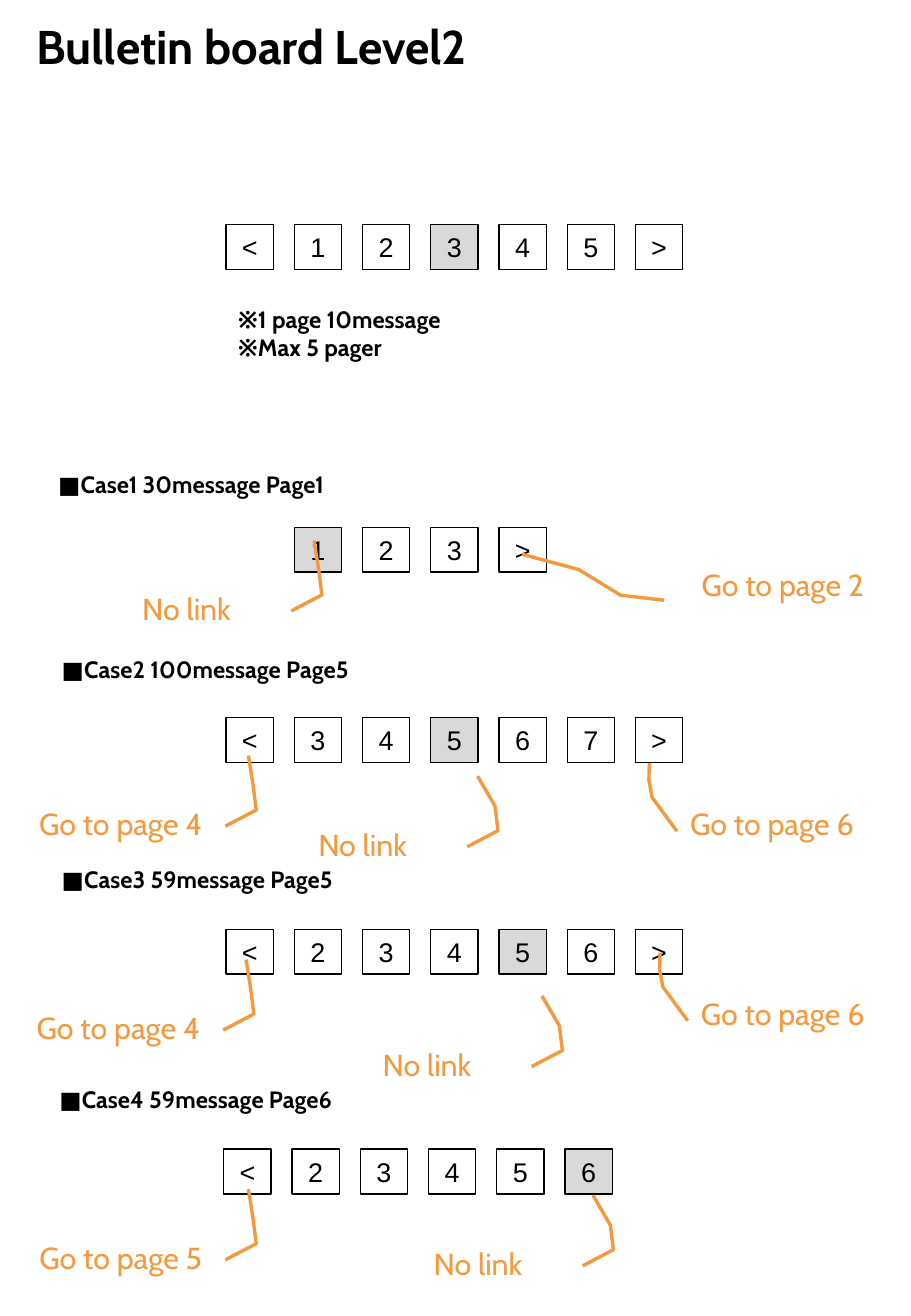
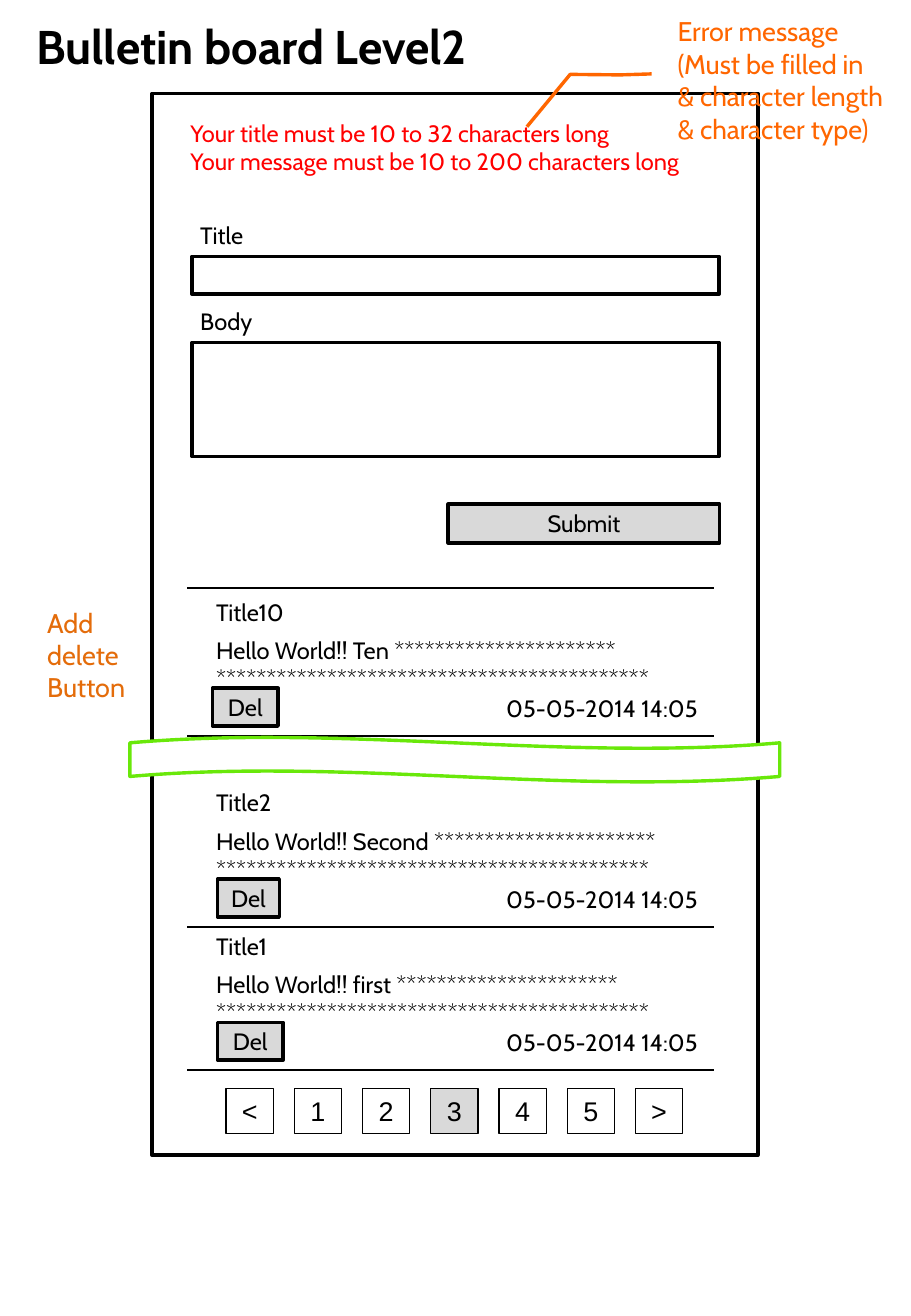
"""Build two portrait wireframe slides for a bulletin board: pager rules and the message form."""
import dataclasses
import typing

import lxml.etree
import pptx
import pptx.dml.color
import pptx.enum.shapes
import pptx.enum.text
import pptx.oxml.ns
import pptx.util

Pt = pptx.util.Pt
SHAPE = pptx.enum.shapes.MSO_SHAPE
ALIGN = pptx.enum.text.PP_ALIGN
ANCHOR = pptx.enum.text.MSO_ANCHOR
AUTO = pptx.enum.text.MSO_AUTO_SIZE

COLORS = {
    "ink": "000000",
    "paper": "FFFFFF",
    "gray": "D9D9D9",
    "note": "F4993E",
    "alert": "FF0000",
    "error_note": "FF6600",
    "side_note": "E46C0A",
    "wave": "69E80A",
}


class Box(typing.NamedTuple):
    x: float
    y: float
    w: float
    h: float


@dataclasses.dataclass(frozen=True)
class Style:
    size: float = 14
    color: str = "ink"
    font: str = "Cabin"
    bold: bool = False
    align: ALIGN = ALIGN.LEFT
    middle: bool = False
    grow: bool = True
    gap: float = 0


@dataclasses.dataclass(frozen=True)
class Callout:
    text: str
    x: float
    y: float
    bends: tuple[float, ...]
    fill: str | None = None


@dataclasses.dataclass(frozen=True)
class Pager:
    labels: str
    current: str
    x: float
    y: float


@dataclasses.dataclass(frozen=True)
class Case:
    heading: str
    x: float
    y: float
    pager: Pager
    callouts: tuple[Callout, ...]


@dataclasses.dataclass(frozen=True)
class Message:
    title: str
    word: str
    rule_y: float
    del_x: float
    del_w: float


BODY = Style()
STRONG = Style(bold=True)
HEADLINE = Style(size=28, bold=True, middle=True, grow=False)
BUTTON = Style(align=ALIGN.CENTER, middle=True, grow=False)
PAGE = Style(size=16, font="Arial", align=ALIGN.CENTER)
NOTE = Style(size=18, color="note", align=ALIGN.CENTER, middle=True, grow=False)
ERROR_NOTE = Style(size=16, color="error_note", middle=True, grow=False)

PAGER_X, PAGER_STEP = 134, 40.45
LEFT = (0.535, 0.966, 0.307, 1.103, -0.044, 1.089, -0.466, 1.068)
LEFT_LOW = LEFT[:-1] + (1.012,)
RIGHT = (0.607, 0.077, 0.128, -0.034, -0.116, -0.048, -0.358, -0.046)
RIGHT_FLAT = (0.727, -0.028, 0.655, -0.222, 0.292, -0.408, 0.074, -0.661)
ERROR_BENDS = (0.465, -0.052, 0.471, -0.167, 0.468, -0.351, 0.787, -0.51)

CASES = (
    Case("■Case1 30message Page1", 27.4, 275,
         Pager("123>", "1", PAGER_X + PAGER_STEP, 312.5), (
             Callout("Go to page 2", 397.4, 325.4, RIGHT_FLAT, "paper"),
             Callout("No link", 43.9, 339.8, LEFT))),
    Case("■Case2 100message Page5", 29.5, 384.5,
         Pager("<34567>", "5", PAGER_X, 425.5), (
             Callout("Go to page 6", 391, 467.3, RIGHT, "paper"),
             Callout("Go to page 4", 5, 467.3, LEFT, "paper"),
             Callout("No link", 148.3, 479.5, LEFT_LOW))),
    Case("■Case3 59message Page5", 29.5, 509,
         Pager("<23456>", "5", PAGER_X, 550.8), (
             Callout("Go to page 6", 397.4, 579.6, RIGHT, "paper"),
             Callout("Go to page 4", 3.6, 588.2, LEFT, "paper"),
             Callout("No link", 186.5, 609.8, LEFT_LOW))),
    Case("■Case4 59message Page6", 28.1, 639.4,
         Pager("<23456", "6", 132.7, 681.1), (
             Callout("Go to page 5", 5, 724.3, LEFT, "paper"),
             Callout("No link", 216.7, 727.9, LEFT_LOW))),
)

MESSAGES = (
    Message("Title10", "Ten", 436.3, 126, 38.9),
    Message("Title2", "Second", 549.4, 128.9, 36.7),
    Message("Title1", "first", 634.3, 128.9, 38.9),
)


def rgb(name: str) -> pptx.dml.color.RGBColor:
    return pptx.dml.color.RGBColor.from_string(COLORS[name])


def write(sp, lines: typing.Sequence[str], style: Style) -> None:
    tf = sp.text_frame
    tf.word_wrap = True
    tf.auto_size = AUTO.SHAPE_TO_FIT_TEXT if style.grow else AUTO.NONE
    tf.vertical_anchor = ANCHOR.MIDDLE if style.middle else ANCHOR.TOP
    for i, line in enumerate(lines):
        p = tf.add_paragraph() if i else tf.paragraphs[0]
        p.alignment = style.align
        p.space_before = Pt(style.gap if i else 0)
        for j, part in enumerate(line.split("\n")):
            if j:
                p.add_line_break()
            r = p.add_run()
            r.text = part
            r.font.size = Pt(style.size)
            r.font.name = style.font
            r.font.bold = style.bold
            r.font.color.rgb = rgb(style.color)


def add_text(s, box: Box, lines: typing.Sequence[str], style: Style = BODY) -> None:
    write(s.shapes.add_textbox(*map(Pt, box)), lines, style)


def add_box(s, box: Box, fill: str | None = None, line: str = "ink", width: float = 2,
            kind: SHAPE = SHAPE.RECTANGLE):
    sp = s.shapes.add_shape(kind, *map(Pt, box))
    sp.shadow.inherit = False
    if fill:
        sp.fill.solid()
        sp.fill.fore_color.rgb = rgb(fill)
    else:
        sp.fill.background()
    sp.line.color.rgb = rgb(line)
    sp.line.width = Pt(width)
    return sp


def add_callout(s, box: Box, bends: tuple[float, ...], lines: typing.Sequence[str],
                style: Style, fill: str | None = None) -> None:
    sp = add_box(s, box, fill, style.color, kind=SHAPE.LINE_CALLOUT_3_NO_BORDER)
    for i, bend in enumerate(bends):
        sp.adjustments[i] = bend
    write(sp, lines, style)


def add_rule(s, y: float) -> None:
    c = s.shapes.add_connector(pptx.enum.shapes.MSO_CONNECTOR.STRAIGHT,
                               Pt(111), Pt(y), Pt(423.4), Pt(y))
    c.line.color.rgb = rgb("ink")
    c.line.width = Pt(1)
    lxml.etree.SubElement(c._element.spPr, pptx.oxml.ns.qn("a:effectLst"))


def add_pager(s, pager: Pager) -> None:
    for i, label in enumerate(pager.labels):
        fill = "gray" if label == pager.current else None
        box = Box(pager.x + i * PAGER_STEP, pager.y, 28, 26.6)
        write(add_box(s, box, fill, width=0.75), [label], PAGE)


def add_case(s, case: Case) -> None:
    add_text(s, Box(case.x, case.y, 481, 24.5), [case.heading], STRONG)
    add_pager(s, case.pager)
    for c in case.callouts:
        add_callout(s, Box(c.x, c.y, 133.2, 41.8), c.bends, [c.text], NOTE, c.fill)


def add_button(s, box: Box, label: str) -> None:
    write(add_box(s, box, "gray"), [label], BUTTON)


def add_message(s, m: Message) -> None:
    add_rule(s, m.rule_y)
    body = f"Hello World!! {m.word} {'*' * 22}\n{'*' * 43}"
    add_text(s, Box(121, m.rule_y - 85.7, 301, 64), [m.title, body], Style(gap=6))
    add_text(s, Box(293, m.rule_y - 28.4, 130, 24.5), ["05-05-2014 14:05"])
    add_button(s, Box(m.del_x, m.rule_y - 28.4, m.del_w, 22.5), "Del")


def add_slide(prs):
    s = prs.slides.add_slide(prs.slide_layouts[6])
    add_text(s, Box(14.4, -1.4, 438.5, 56.9), ["Bulletin board Level2"], HEADLINE)
    return s


def build_pager_slide(prs) -> None:
    s = add_slide(prs)
    add_pager(s, Pager("<12345>", "3", PAGER_X, 133.2))
    add_text(s, Box(134, 177.1, 216, 41), ["※1 page 10message", "※Max 5 pager"], STRONG)
    for case in CASES:
        add_case(s, case)


def build_form_slide(prs) -> None:
    s = add_slide(prs)
    for box in (Box(90, 55.4, 359.3, 629.3), Box(113.8, 151.9, 312.5, 22.5),
                Box(113.8, 203, 312.5, 67.7)):
        add_box(s, box)
    add_button(s, Box(265.7, 298.8, 161, 23), "Submit")
    add_rule(s, 348.5)
    add_text(s, Box(105.8, 67, 345.6, 41),
             ["Your title must be 10 to 32 characters long",
              "Your message must be 10 to 200 characters long"], Style(color="alert"))
    add_text(s, Box(111.6, 127.4, 43, 24.5), ["Title"])
    add_text(s, Box(111.6, 178.6, 69, 24.5), ["Body"])
    add_pager(s, Pager("<12345>", "3", PAGER_X, 645.1))
    add_callout(s, Box(394.6, -1.4, 161.3, 97.2), ERROR_BENDS,
                ["Error message", "(Must be filled in",
                 "& character length\n& character type)"], ERROR_NOTE)
    for m in MESSAGES:
        add_message(s, m)
    add_box(s, Box(77, 437, 385.2, 26.6), "paper", "wave", kind=SHAPE.WAVE)
    add_text(s, Box(20.9, 355.7, 97.2, 65.5), ["Add", "delete", "Button"],
             Style(size=16, color="side_note"))


def main() -> None:
    prs = pptx.Presentation()
    prs.slide_width, prs.slide_height = Pt(540), Pt(780)
    build_pager_slide(prs)
    build_form_slide(prs)
    prs.save("out.pptx")


main()
